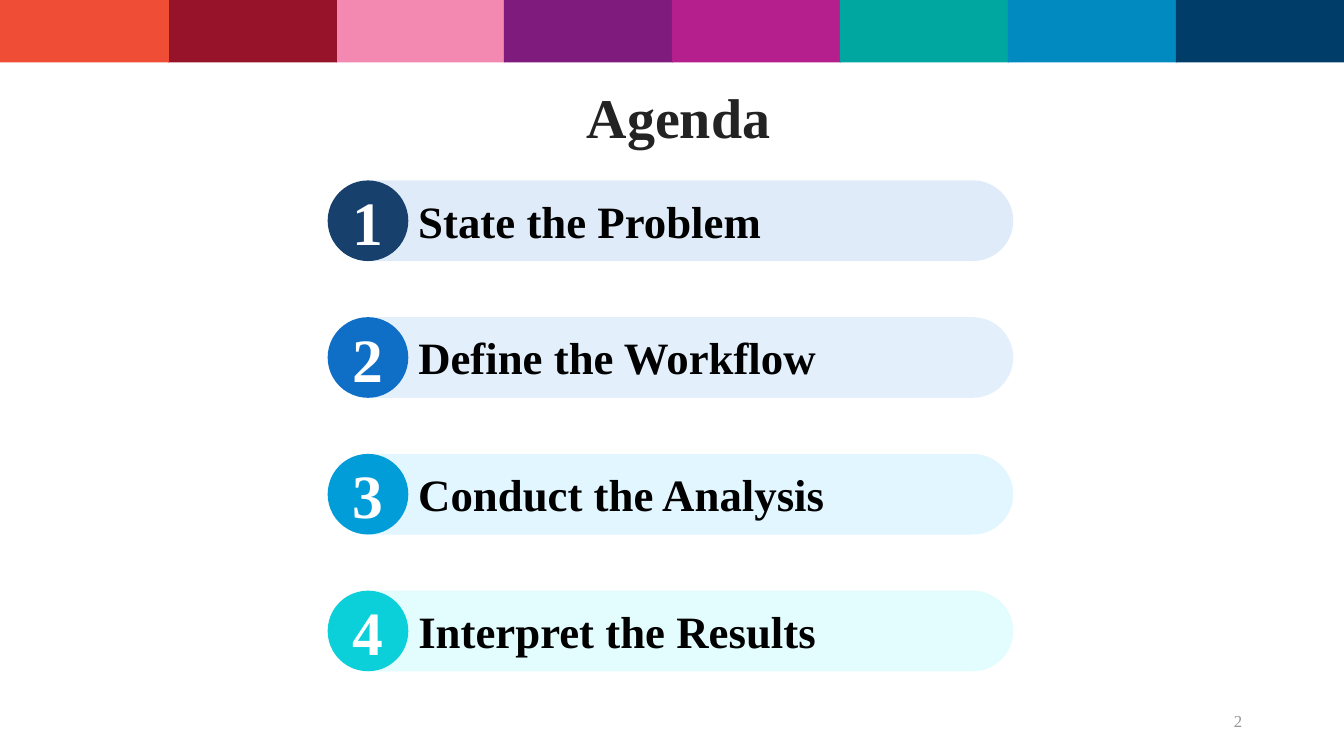
import pptx
import pptx.dml.color
import pptx.enum.shapes
import pptx.enum.text
import pptx.oxml.ns
import pptx.util
from lxml import etree

RGBColor = pptx.dml.color.RGBColor
Inches = pptx.util.Inches
MSO_SHAPE = pptx.enum.shapes.MSO_SHAPE
MSO_ANCHOR = pptx.enum.text.MSO_ANCHOR
MSO_AUTO_SIZE = pptx.enum.text.MSO_AUTO_SIZE
PP_ALIGN = pptx.enum.text.PP_ALIGN
qn = pptx.oxml.ns.qn

FONT = "Times New Roman"
WHITE = RGBColor(0xFF, 0xFF, 0xFF)
BLACK = RGBColor(0x00, 0x00, 0x00)
TITLE_COLOR = RGBColor(0x23, 0x23, 0x23)
NUMBER_COLOR = RGBColor(0x96, 0x96, 0x96)
BAND_COLORS = [
    RGBColor(0xEF, 0x4D, 0x35), RGBColor(0x96, 0x13, 0x2A),
    RGBColor(0xF3, 0x89, 0xB1), RGBColor(0x7F, 0x1B, 0x7D),
    RGBColor(0xB4, 0x1E, 0x8D), RGBColor(0x00, 0xA6, 0xA0),
    RGBColor(0x00, 0x8A, 0xC0), RGBColor(0x00, 0x3E, 0x69),
]
BAND_ORDER = [2, 3, 4, 5, 6, 7, 1, 0]
AGENDA = [
    ("State the Problem", 3.63, RGBColor(0x17, 0x40, 0x6D), RGBColor(0xC1, 0xD8, 0xF2)),
    ("Define the Workflow", 4.29, RGBColor(0x0F, 0x6F, 0xC6), RGBColor(0xC8, 0xE3, 0xFB)),
    ("Conduct the Analysis", 4.27, RGBColor(0x00, 0x9D, 0xD9), RGBColor(0xC4, 0xEF, 0xFF)),
    ("Interpret the Results", 4.18, RGBColor(0x0B, 0xD0, 0xD9), RGBColor(0xC9, 0xFA, 0xFC)),
]
SLIDE_WIDTH, SLIDE_HEIGHT = 13.33, 7.5
ROW_HEIGHT = 0.8
ARC_PULL = 0.55


def paint(shape, color):
    shape.shadow.inherit = False
    shape.fill.solid()
    shape.fill.fore_color.rgb = color
    shape.line.fill.background()


def write(shape, text, size, color, align, anchor, bold=True):
    frame = shape.text_frame
    frame.text = text
    frame.word_wrap = True
    frame.vertical_anchor = anchor
    paragraph = frame.paragraphs[0]
    paragraph.alignment = align
    font = paragraph.runs[0].font
    font.name = FONT
    font.size = pptx.util.Pt(size)
    font.bold = bold
    font.color.rgb = color


def add_text(shapes, box, *style, **options):
    textbox = shapes.add_textbox(*map(Inches, box))
    write(textbox, *style, **options)
    return textbox


def add_color_band(slide, left, top, width, height):
    band = slide.shapes.add_group_shape()
    step = width / len(BAND_COLORS)
    for column in BAND_ORDER:
        box = (left + column * step, top, step + 0.01, height)
        tile = band.shapes.add_shape(MSO_SHAPE.RECTANGLE, *map(Inches, box))
        paint(tile, BAND_COLORS[column])


def bend(segment, start, corner, end):
    curve = etree.Element(qn("a:cubicBezTo"))
    controls = [tuple(a + (b - a) * ARC_PULL for a, b in zip(point, corner))
                for point in (start, end)]
    for x, y in controls + [end]:
        etree.SubElement(curve, qn("a:pt"), x=str(Inches(x)), y=str(Inches(y)))
    segment.getparent().replace(segment, curve)


def add_bar(shapes, left, top, width, height, color):
    radius = height / 2
    upper, tip, lower = (width - radius, 0), (width, radius), (width - radius, height)
    builder = shapes.build_freeform(Inches(left), Inches(top))
    builder.add_line_segments([(Inches(left + x), Inches(top + y))
                               for x, y in (upper, tip, lower, (0, height))], close=True)
    bar = builder.convert_to_shape()
    paint(bar, color)
    segments = list(bar._element.iter(qn("a:lnTo")))
    bend(segments[1], upper, (width, 0), tip)
    bend(segments[2], tip, (width, height), lower)
    fill_color = bar._element.spPr.find(qn("a:solidFill") + "/" + qn("a:srgbClr"))
    etree.SubElement(fill_color, qn("a:alpha"), val="50000")


def add_agenda_row(slide, left, top, width, height, number,
                   label, label_width, badge_color, bar_color):
    shapes = slide.shapes.add_group_shape().shapes
    add_bar(shapes, left + height / 2, top, width - height / 2, height, bar_color)
    label_box = (left + height, top + height * 0.1, label_width, height * 0.8)
    textbox = add_text(shapes, label_box, label, 32, BLACK, PP_ALIGN.LEFT, MSO_ANCHOR.TOP)
    textbox.text_frame.word_wrap = False
    textbox.text_frame.auto_size = MSO_AUTO_SIZE.SHAPE_TO_FIT_TEXT
    badge = shapes.add_shape(MSO_SHAPE.OVAL, *map(Inches, (left, top, height, height)))
    paint(badge, badge_color)
    write(badge, str(number), 44, WHITE, PP_ALIGN.CENTER, MSO_ANCHOR.MIDDLE)


def add_agenda(slide, left, top, width, height):
    pitch = (height - ROW_HEIGHT) / (len(AGENDA) - 1)
    for row, item in enumerate(AGENDA):
        add_agenda_row(slide, left, top + row * pitch, width, ROW_HEIGHT, row + 1, *item)


def main():
    presentation = pptx.Presentation()
    presentation.slide_width = Inches(SLIDE_WIDTH)
    presentation.slide_height = Inches(SLIDE_HEIGHT)
    slide = presentation.slides.add_slide(presentation.slide_layouts[6])
    add_color_band(slide, 0, 0, SLIDE_WIDTH, 0.62)
    add_text(slide.shapes, (1.49, 0.08, 10.48, 1.45), "Agenda", 40, TITLE_COLOR,
             PP_ALIGN.CENTER, MSO_ANCHOR.BOTTOM)
    add_text(slide.shapes, (9.42, 6.95, 3, 0.4), "2", 12, NUMBER_COLOR,
             PP_ALIGN.RIGHT, MSO_ANCHOR.MIDDLE, bold=False)
    add_agenda(slide, 3.25, 1.79, 6.8, 4.87)
    presentation.save("out.pptx")


if __name__ == "__main__":
    main()
